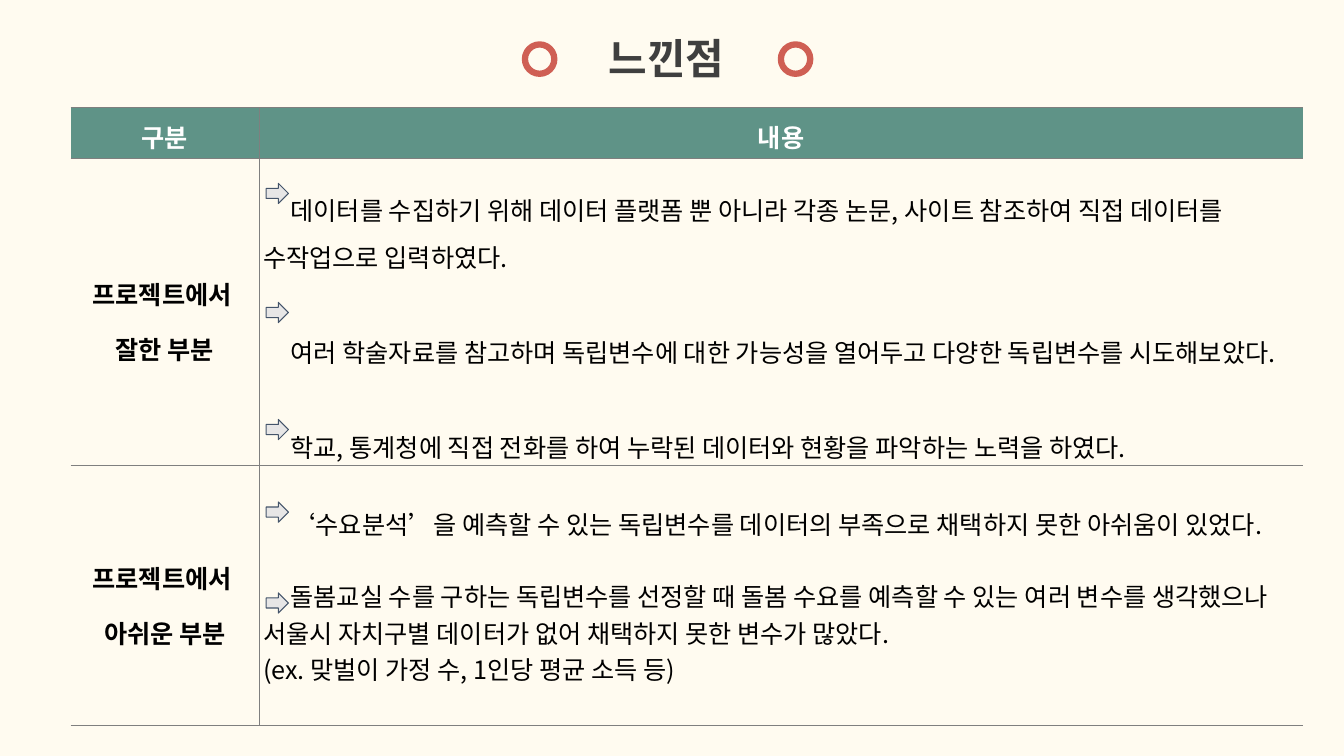
from lxml.etree import SubElement
from pptx import Presentation
from pptx.dml.color import RGBColor
from pptx.enum.shapes import MSO_SHAPE as SHAPE
from pptx.enum.text import MSO_ANCHOR as ANCHOR, MSO_AUTO_SIZE as AUTO, PP_ALIGN as ALIGN
from pptx.oxml.ns import qn
from pptx.util import Cm, Pt

CREAM = RGBColor(0xFF, 0xFB, 0xF0)
GREEN = RGBColor(0x5F, 0x93, 0x87)
RED = RGBColor(0xCF, 0x5F, 0x54)
GRAY = RGBColor(0x7F, 0x7F, 0x7F)
DARK = RGBColor(0x3F, 0x3F, 0x3F)
PALE = RGBColor(0xE7, 0xE6, 0xE6)
SLATE = RGBColor(0x44, 0x54, 0x6A)
WHITE = RGBColor(0xFF, 0xFF, 0xFF)
BLACK = RGBColor(0, 0, 0)
HEAD_FONT = "Arial"
BODY_FONT = "Noto Sans CJK KR"

HEADERS = ["구분", "내용"]
# Row label lines, line spacing, gap between points, top margin, points;
# a point is (text, has an arrow)
ROWS = [
    (["프로젝트에서 ", "잘한 부분"], 1.3, Pt(34), Cm(0.53), [
        ("데이터를 수집하기 위해 데이터 플랫폼 뿐 아니라 각종 논문, 사이트 참조하여 "
         "직접 데이터를 수작업으로 입력하였다.", True),
        ("여러 학술자료를 참고하며 독립변수에 대한 가능성을 열어두고 "
         "다양한 독립변수를 시도해보았다.", True),
        ("학교, 통계청에 직접 전화를 하여 누락된 데이터와 현황을 파악하는 "
         "노력을 하였다.", True),
    ]),
    (["프로젝트에서 ", "아쉬운 부분"], 1.0, Pt(26), 0, [
        ("‘수요분석’을 예측할 수 있는 독립변수를 데이터의 부족으로 채택하지 못한 "
         "아쉬움이 있었다.", True),
        ("돌봄교실 수를 구하는 독립변수를 선정할 때 돌봄 수요를 예측할 수 있는 여러 "
         "변수를 생각했으나 서울시 자치구별 데이터가 없어 채택하지 못한 변수가 많았다.", True),
        ("(ex. 맞벌이 가정 수, 1인당 평균 소득 등)", False),
    ]),
]
COLUMN_WIDTHS = [Cm(4.75), Cm(26.31)]
ROW_HEIGHTS = [Cm(1.27), Cm(7.75), Cm(6.55)]
ARROW_TOPS = [Cm(1.9), Cm(4.9), Cm(7.85), Cm(9.93), Cm(12.22)]  # from the table top


def add_run(p, text, size, color, font=HEAD_FONT, bold=True):
    r = p.add_run()
    r.text = text
    r.font.size, r.font.bold, r.font.name = Pt(size), bold, font
    r.font.color.rgb = color
    SubElement(r.font._element, qn("a:ea")).set("typeface", BODY_FONT)


def add_paragraph(tf, first):
    return tf.paragraphs[0] if first else tf.add_paragraph()


def add_outlined(slide, kind, box, line_color, width, fill=None):
    sp = slide.shapes.add_shape(kind, *box)
    sp.shadow.inherit = False
    if fill is None:
        sp.fill.background()
    else:
        sp.fill.solid()
        sp.fill.fore_color.rgb = fill
    sp.line.color.rgb = line_color
    sp.line.width = Pt(width)


def format_cell(cell, lines, fill=None, left=0, top=0):
    """Rule the sides named in lines, then set fill, margins and anchor."""
    tc_pr = cell._tc.get_or_add_tcPr()
    for side in "LRTB":
        ln = SubElement(tc_pr, qn("a:ln" + side), w=str(Pt(0.75)))
        if side in lines:
            solid = SubElement(ln, qn("a:solidFill"))
            SubElement(solid, qn("a:srgbClr"), val=str(GRAY))
        else:
            SubElement(ln, qn("a:noFill"))
    if fill is None:
        cell.fill.background()
    else:
        cell.fill.solid()
        cell.fill.fore_color.rgb = fill
    cell.margin_left, cell.margin_top = left, top
    cell.margin_right = cell.margin_bottom = 0
    cell.vertical_anchor = ANCHOR.MIDDLE


def write_centered(cell, texts, spacing, color):
    for i, text in enumerate(texts):
        p = add_paragraph(cell.text_frame, i == 0)
        p.alignment, p.line_spacing = ALIGN.CENTER, spacing
        add_run(p, text, 18, color)


def write_points(cell, points, spacing, gap):
    for i, (text, has_arrow) in enumerate(points):
        p = add_paragraph(cell.text_frame, i == 0)
        p.line_spacing = spacing
        if has_arrow:
            p._p.get_or_add_pPr().set("indent", str(Cm(0.69)))
            p.space_before = gap if i else 0
        add_run(p, text, 18, BLACK, BODY_FONT, False)


def add_heading(slide, left, top, width, height):
    # Title between two rings
    title = slide.shapes.title
    title.left, title.top, title.width, title.height = left, top, width, height
    tf = title.text_frame
    tf.auto_size, tf.word_wrap, tf.vertical_anchor = AUTO.NONE, True, ANCHOR.MIDDLE
    tf.margin_top = tf.margin_bottom = 0
    p = tf.paragraphs[0]
    p.alignment, p.line_spacing = ALIGN.CENTER, 1.0
    add_run(p, "느낀점", 30, DARK)
    ring = Cm(0.74)
    for x in (left - Cm(1.04), left + width + Cm(0.36)):
        add_outlined(slide, SHAPE.OVAL, (x, top + Cm(0.36), ring, ring), RED, 4.5)


def add_review_table(slide, left, top):
    frame = slide.shapes.add_table(len(ROW_HEIGHTS), len(COLUMN_WIDTHS), left, top,
                                   sum(COLUMN_WIDTHS), sum(ROW_HEIGHTS))
    table = frame.table
    table.first_row = table.horz_banding = False
    for column, width in zip(table.columns, COLUMN_WIDTHS):
        column.width = width
    for row, height in zip(table.rows, ROW_HEIGHTS):
        row.height = height

    # Header row
    for c, (text, lines) in enumerate(zip(HEADERS, ("RTB", "LTB"))):
        format_cell(table.cell(0, c), lines, GREEN)
        write_centered(table.cell(0, c), [text], 1.2, WHITE)

    # Labels and points
    for i, (label, spacing, gap, margin, points) in enumerate(ROWS, 1):
        format_cell(table.cell(i, 0), "RTB")
        write_centered(table.cell(i, 0), label, 1.5, BLACK)
        format_cell(table.cell(i, 1), "LTB", left=Cm(0.1), top=margin)
        write_points(table.cell(i, 1), points, spacing, gap)

    # Arrow in front of each point
    x = left + COLUMN_WIDTHS[0] + Cm(0.18)
    for y in ARROW_TOPS:
        add_outlined(slide, SHAPE.RIGHT_ARROW, (x, top + y, Cm(0.56), Cm(0.51)),
                     SLATE, 0.75, PALE)


def main():
    prs = Presentation()
    prs.slide_width, prs.slide_height = Cm(33.87), Cm(19.05)
    slide = prs.slides.add_slide(prs.slide_layouts[5])
    slide.background.fill.solid()
    slide.background.fill.fore_color.rgb = CREAM
    add_review_table(slide, Cm(1.78), Cm(2.72))
    add_heading(slide, Cm(14.27), Cm(0.76), Cm(5.05), Cm(1.37))
    prs.save("out.pptx")


if __name__ == "__main__":
    main()
